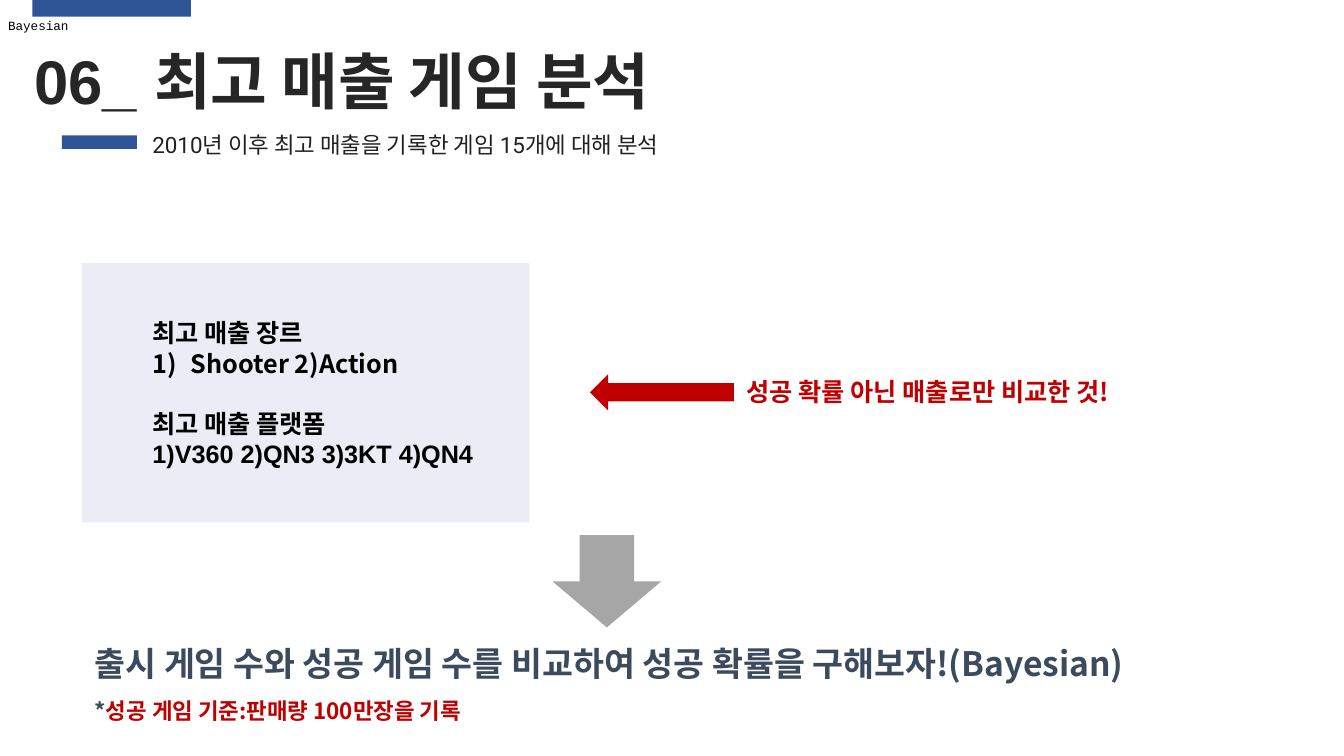
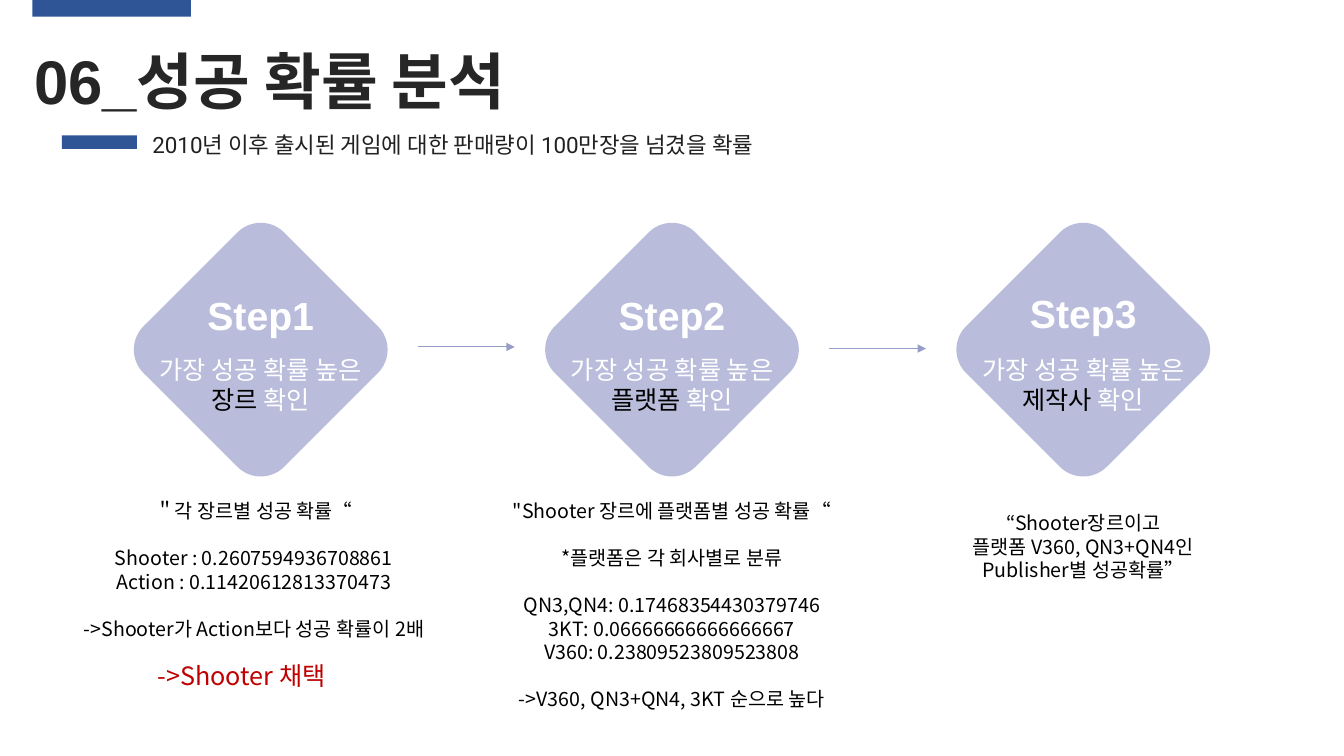
from lxml import etree
from pptx import Presentation
from pptx.dml.color import RGBColor
from pptx.enum.shapes import MSO_CONNECTOR, MSO_SHAPE
from pptx.enum.text import MSO_ANCHOR, PP_ALIGN
from pptx.oxml.ns import qn
from pptx.util import Inches, Pt

RECT, ROUND = MSO_SHAPE.RECTANGLE, MSO_SHAPE.ROUNDED_RECTANGLE
LEFT_ARROW, DOWN_ARROW = MSO_SHAPE.LEFT_ARROW, MSO_SHAPE.DOWN_ARROW
STRAIGHT = MSO_CONNECTOR.STRAIGHT
LEFT, CENTER = PP_ALIGN.LEFT, PP_ALIGN.CENTER
TOP, MIDDLE = MSO_ANCHOR.TOP, MSO_ANCHOR.MIDDLE


class Theme:
    blue, panel, lilac, line = "2F5597", "EBECF5", "9CA1CC", "979DC9"
    ink, dark, slate, black = "262626", "212121", "3C4A5E", "000000"
    red, gray, white = "C00000", "A6A6A6", "FFFFFF"
    head, step, claim, body, sub, note, tag = 44, 28, 24, 18, 16, 14, 9
    latin, korean, lead, mono = "Arial", "Noto Sans CJK KR", "Roboto", "Courier New"
    pitch, drop = 1.2, 0.08  # line height and first-line offset, in type sizes


deck = Presentation()
deck.slide_width, deck.slide_height = Inches(13.33), Inches(7.5)
COL, ROW = deck.slide_width / 100, deck.slide_height / 100


def block(slide, kind, box, color):
    """Add a plain filled shape; box is in percent of the slide."""
    x, y, w, h = box
    shape = slide.shapes.add_shape(
        kind, int(x * COL), int(y * ROW), int(w * COL), int(h * ROW))
    shape.shadow.inherit = False
    shape.fill.solid()
    shape.fill.fore_color.rgb = RGBColor.from_string(color)
    shape.line.fill.background()
    return shape


def write(slide, box, lines, size=Theme.body, font=Theme.korean, color=Theme.black,
          bold=False, align=LEFT, anchor=TOP, fixed=True, gaps=()):
    """Add text; a line is a string or (text, colour) pairs, gaps open above lines."""
    x, y, w, h = box
    frame = slide.shapes.add_textbox(
        int(x * COL), int(y * ROW), int(w * COL), int(h * ROW)).text_frame
    frame.word_wrap = True
    frame.vertical_anchor = anchor
    if fixed:
        frame.margin_top = Inches(0.05) + Pt(Theme.drop * size)
    for i, line in enumerate(lines):
        para = frame.paragraphs[0] if i == 0 else frame.add_paragraph()
        para.alignment = align
        if fixed:
            para.line_spacing = Pt(Theme.pitch * size)
        if i in gaps:
            para.space_before = Pt(Theme.pitch * size)
        for text, tint in [(line, color)] if isinstance(line, str) else line:
            run = para.add_run()
            run.text = text
            run.font.size, run.font.bold, run.font.name = Pt(size), bold, font
            run.font.color.rgb = RGBColor.from_string(tint)
            east = etree.SubElement(run.font._element, qn("a:ea"))
            east.set("typeface", Theme.korean)
    return frame


# Shared header
heads = [
    ("06_ 최고 매출 게임 분석", "2010년 이후 최고 매출을 기록한 게임 15개에 대해 분석"),
    ("06_성공 확률 분석", "2010년 이후 출시된 게임에 대한 판매량이 100만장을 넘겼을 확률"),
]
pages = []
for title, lead in heads:
    page = deck.slides.add_slide(deck.slide_layouts[6])
    block(page, RECT, (2.4, 0, 11.8, 2.2), Theme.blue)
    block(page, RECT, (4.6, 17.9, 5.6, 1.8), Theme.blue)
    write(page, (1.8, 4.3, 60, 11.2), [title], size=Theme.head,
          font=Theme.latin, color=Theme.ink, bold=True)
    write(page, (10.6, 16.5, 59.1, 5), [lead], size=Theme.sub,
          font=Theme.lead, color=Theme.dark)
    pages.append(page)
sales, odds = pages

# Top sales
write(sales, (0, 0, 100, 6.7), ["Bayesian"], size=Theme.tag, font=Theme.mono,
      anchor=MIDDLE, fixed=False).margin_left = Inches(0.08)
block(sales, RECT, (6.1, 34.8, 33.3, 34.3), Theme.panel)
block(sales, LEFT_ARROW, (43.9, 49.5, 10.7, 4.8), Theme.red)
block(sales, DOWN_ARROW, (41.1, 70.8, 8.1, 12.2), Theme.gray)

best = write(sales, (10.6, 41.1, 35.9, 21.6),
             ["최고 매출 장르", "Shooter 2)Action",
              "최고 매출 플랫폼", "1)V360 2)QN3 3)3KT 4)QN4"], bold=True, gaps=(2,))
for para in best.paragraphs[2:]:
    para.runs[0].font.name = Theme.latin
props = best.paragraphs[1]._p.get_or_add_pPr()
props.set("marL", str(Inches(0.38)))
props.set("indent", str(-Inches(0.38)))
etree.SubElement(props, qn("a:buAutoNum")).set("type", "arabicParenR")

write(sales, (54.8, 48.9, 33.9, 5.3), ["성공 확률 아닌 매출로만 비교한 것!"],
      color=Theme.red, bold=True)
write(sales, (6.3, 84, 87.5, 6.8),
      ["출시 게임 수와 성공 게임 수를 비교하여 성공 확률을 구해보자!(Bayesian)"],
      size=Theme.claim, color=Theme.slate, bold=True)
write(sales, (6.3, 91.3, 87.5, 5),
      [[("*", Theme.slate), ("성공 게임 기준:판매량 100만장을 기록", Theme.red)]],
      size=Theme.sub, bold=True)

# Odds of success: goal, top of the step label, corner of the findings, findings, gaps
steps = [
    ("장르", 37.9, (1.8, 65.1),
     ["＂각 장르별 성공 확률“", "Shooter : 0.2607594936708861",
      "Action : 0.11420612813370473", "->Shooter가 Action보다 성공 확률이 2배"], (1, 3)),
    ("플랫폼", 37.9, (32.9, 65.1),
     ['"Shooter 장르에 플랫폼별 성공 확률“', "*플랫폼은 각 회사별로 분류",
      "QN3,QN4: 0.17468354430379746", "3KT: 0.06666666666666667",
      "V360: 0.23809523809523808", "->V360, QN3+QN4, 3KT 순으로 높다"], (1, 2, 5)),
    ("제작사", 37.6, (63.5, 66.7),
     ["“Shooter장르이고", "플랫폼 V360, QN3+QN4인", "Publisher별 성공확률”"], ()),
]
STRIDE = 30.6
for i, (goal, top, corner, found, gaps) in enumerate(steps):
    mid = 50 + STRIDE * (i - 1)
    gem = block(odds, ROUND, (mid - 7.4, 33.1, 14.8, 26.3), Theme.lilac)
    gem.rotation = 45
    tint = gem._element.spPr.find(qn("a:solidFill"))[0]
    etree.SubElement(tint, qn("a:alpha")).set("val", "70000")
    write(odds, (mid - 5.8, top, 11.6, 7.6), [f"Step{i + 1}"], size=Theme.step,
          font=Theme.latin, color=Theme.white, bold=True, align=CENTER, fixed=False)
    write(odds, (mid - 11, 45.9, 22, 9.5),
          ["가장 성공 확률 높은", [(goal, Theme.black), (" 확인", Theme.white)]],
          color=Theme.white, align=CENTER)
    write(odds, (*corner, 34.2, 30), found, size=Theme.note, align=CENTER, gaps=gaps)
    if i:
        y = int((45.7 + 0.2 * i) * ROW)
        link = odds.shapes.add_connector(
            STRAIGHT, int((mid - 18.9) * COL), y, int((mid - 11.7) * COL), y)
        link.line.color.rgb = RGBColor.from_string(Theme.line)
        link.line.width = Pt(0.75)
        etree.SubElement(link.line._get_or_add_ln(), qn("a:tailEnd")).set("type", "triangle")
        etree.SubElement(link._element.spPr, qn("a:effectLst"))

write(odds, (11, 86.4, 18, 5.3), ["->Shooter 채택"], color=Theme.red)

deck.save("out.pptx")
